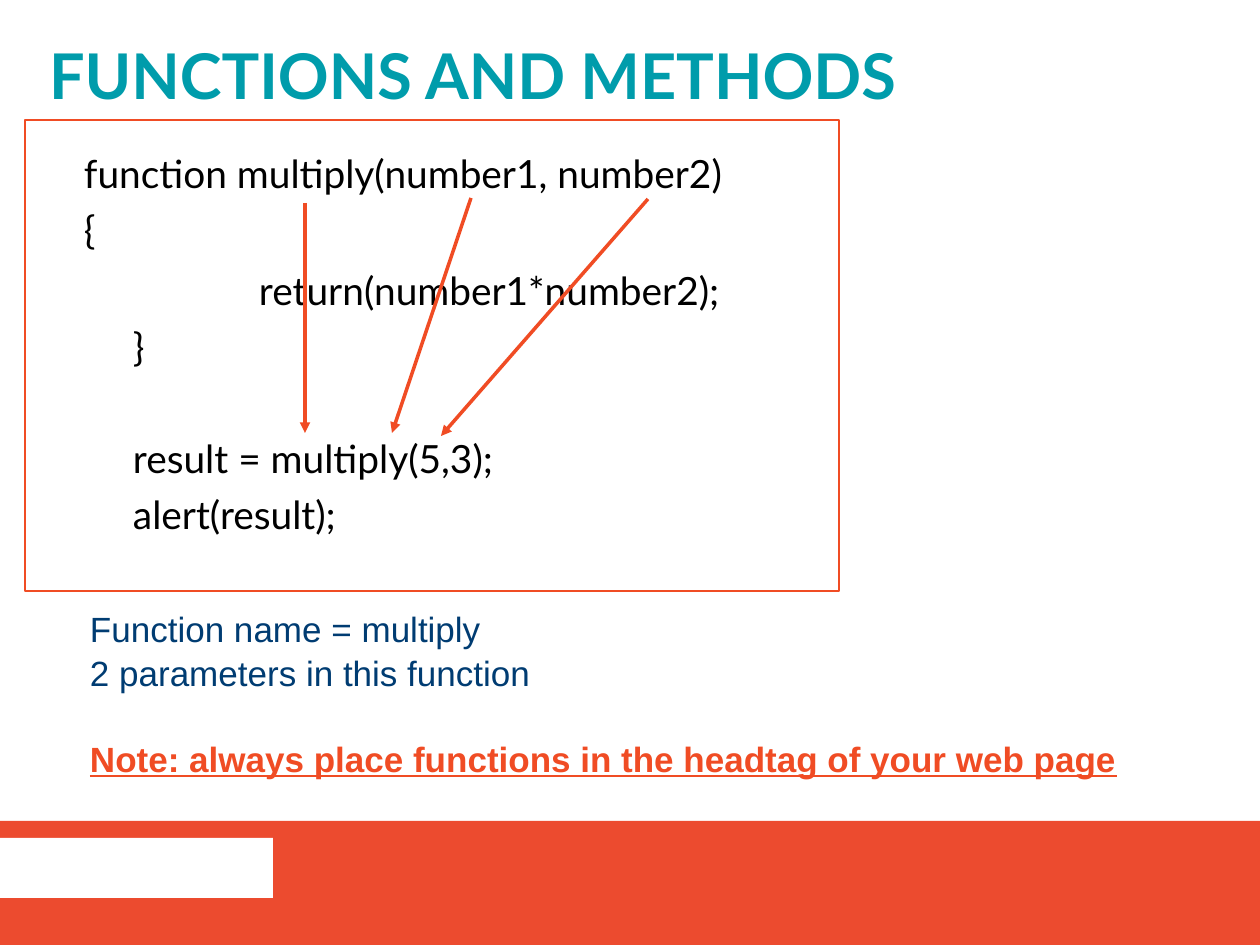
from lxml import etree
from pptx import Presentation
from pptx.dml.color import RGBColor
from pptx.enum.shapes import MSO_CONNECTOR, MSO_SHAPE
from pptx.enum.text import MSO_ANCHOR, MSO_AUTO_SIZE, PP_ALIGN
from pptx.oxml.ns import qn
from pptx.util import Pt

PX = 914400 // 126  # EMU per pixel
SLIDE_W, SLIDE_H = 1260, 945

TEAL = RGBColor(0x00, 0x9C, 0xAB)
ORANGE = RGBColor(0xF0, 0x4C, 0x24)
BAND_RED = RGBColor(0xEC, 0x4B, 0x2F)
NAVY = RGBColor(0x00, 0x3C, 0x72)
WHITE = RGBColor(0xFF, 0xFF, 0xFF)
BLACK = RGBColor(0, 0, 0)

RECTANGLE = MSO_SHAPE.RECTANGLE
STRAIGHT = MSO_CONNECTOR.STRAIGHT
LEFT = PP_ALIGN.LEFT
TOP, MIDDLE = MSO_ANCHOR.TOP, MSO_ANCHOR.MIDDLE
NO_AUTOFIT = MSO_AUTO_SIZE.NONE

# Text, left indent in pixels, line spacing, space before in points
CODE_LINES = [
    ("function multiply(number1, number2)", 0, 0.9, 4),
    ("{", 0, 0.9, 4),
    ("return(number1*number2);", 175, 1.0, 4),
    ("}", 49, 0.9, 4),
    ("result = multiply(5,3);", 49, 0.9, 36),
    ("alert(result);", 49, 0.9, 4),
]

# Text, colour, emphasis, space before in points
REMARKS = [
    ("Function name = multiply", NAVY, False, 0),
    ("2 parameters in this function", NAVY, False, 1),
    ("Note: always place functions in the headtag of your web page",
     ORANGE, True, 25),
]

# Start and end of each arrow from the definition to the call
ARROWS = [
    ((305, 203), (305, 433)),
    ((471, 198), (392, 433)),
    ((648, 199), (441, 436)),
]


def emu(*pixels):
    return [round(p * PX) for p in pixels]


def set_frame(frame, insets, anchor):
    frame.word_wrap = True
    frame.auto_size = NO_AUTOFIT
    frame.vertical_anchor = anchor
    (frame.margin_left, frame.margin_top,
     frame.margin_right, frame.margin_bottom) = emu(*insets)


def write_paragraph(paragraph, text, font_name, size, color, bold=False):
    paragraph.text = text
    paragraph.alignment = LEFT
    font = paragraph.runs[0].font
    font.name, font.size, font.bold = font_name, Pt(size), bold
    font.color.rgb = color
    return font


def paragraphs(frame, count):
    for _ in range(count - 1):
        frame.add_paragraph()
    return frame.paragraphs


def add_rectangle(slide, box, fill=None, line=None):
    rectangle = slide.shapes.add_shape(RECTANGLE, *emu(*box))
    rectangle.shadow.inherit = False
    if fill is None:
        rectangle.fill.background()
    else:
        rectangle.fill.solid()
        rectangle.fill.fore_color.rgb = fill
    if line is None:
        rectangle.line.fill.background()
    else:
        rectangle.line.color.rgb = line
        rectangle.line.width = Pt(0.75)
    return rectangle


def add_title(slide, text):
    title = slide.shapes.title
    title.left, title.top, title.width, title.height = emu(0, 0, 1134, 158)
    set_frame(title.text_frame, (49, 25, 49, 20), MIDDLE)
    heading = title.text_frame.paragraphs[0]
    write_paragraph(heading, text, "Lato", 36, TEAL, bold=True)
    heading.line_spacing = 0.8


def add_code_box(slide):
    frame = add_rectangle(slide, (25, 120, 814, 471), line=ORANGE).text_frame
    set_frame(frame, (59, 35, 59, 20), TOP)
    for code, (text, indent, spacing, before) in zip(
            paragraphs(frame, len(CODE_LINES)), CODE_LINES):
        write_paragraph(code, text, "Lato", 22.2, BLACK)
        code.line_spacing = spacing
        code.space_before, code.space_after = Pt(before), Pt(4)
        code._p.get_or_add_pPr().set("marL", str(emu(indent)[0]))


def add_arrow(slide, start, end):
    arrow = slide.shapes.add_connector(STRAIGHT, *emu(*start, *end))
    arrow.line.color.rgb = ORANGE
    arrow.line.width = Pt(2)
    etree.SubElement(arrow.line._get_or_add_ln(), qn("a:tailEnd"),
                     type="triangle")
    etree.SubElement(arrow._element.spPr, qn("a:effectLst"))


def add_remarks(slide):
    frame = slide.shapes.add_textbox(*emu(77, 602, 1121, 183)).text_frame
    set_frame(frame, (13, 6, 13, 6), TOP)
    for remark, (text, color, emphasis, before) in zip(
            paragraphs(frame, len(REMARKS)), REMARKS):
        font = write_paragraph(remark, text, "Arial", 20, color, emphasis)
        font.underline = emphasis
        remark.space_before = Pt(before)


def main():
    deck = Presentation()
    deck.slide_width, deck.slide_height = emu(SLIDE_W, SLIDE_H)
    slide = deck.slides.add_slide(deck.slide_layouts[5])

    # Footer band with its white label area
    add_rectangle(slide, (0, 821, SLIDE_W, 124), fill=BAND_RED)
    add_rectangle(slide, (0, 838, 273, 60), fill=WHITE)

    # Title, code and the arrows linking definition to call
    add_title(slide, "FUNCTIONS AND METHODS")
    add_code_box(slide)
    for start, end in ARROWS:
        add_arrow(slide, start, end)

    # Remarks below the code
    add_remarks(slide)
    deck.save("out.pptx")


main()
